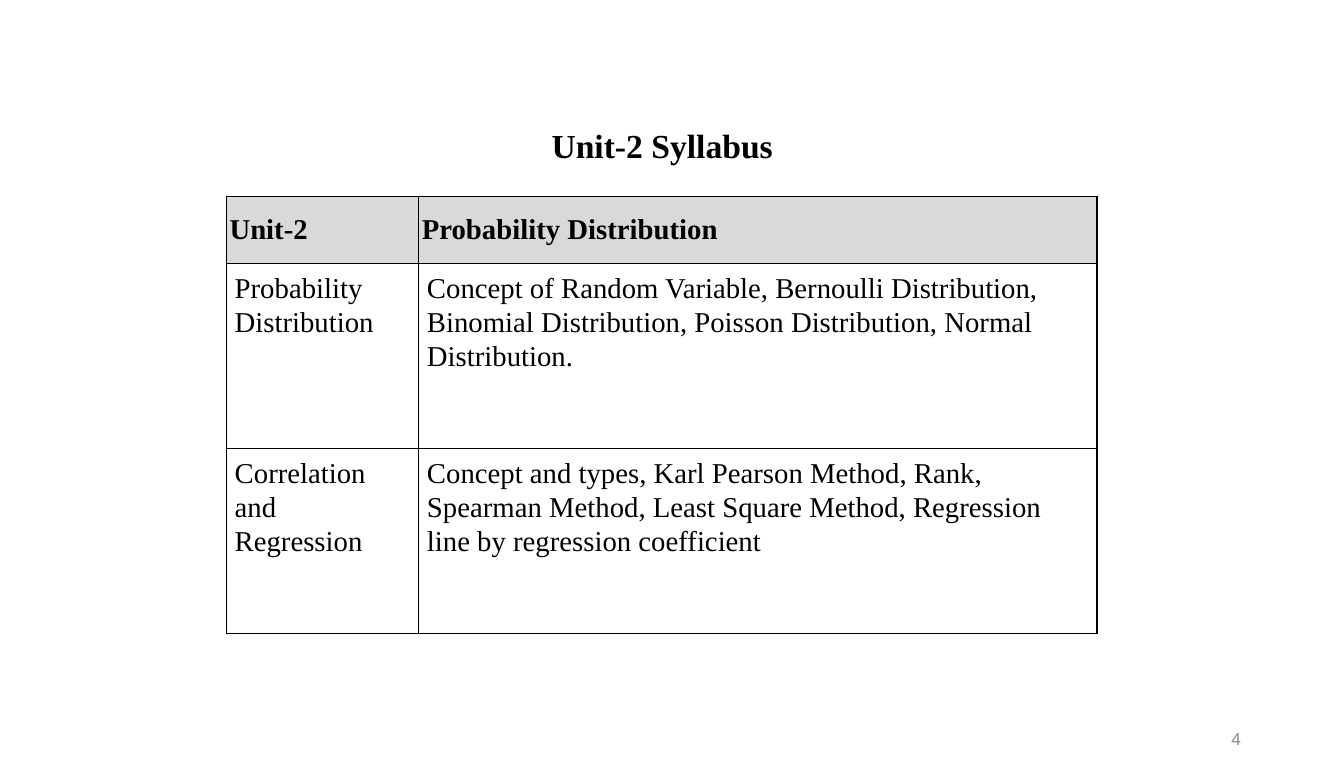
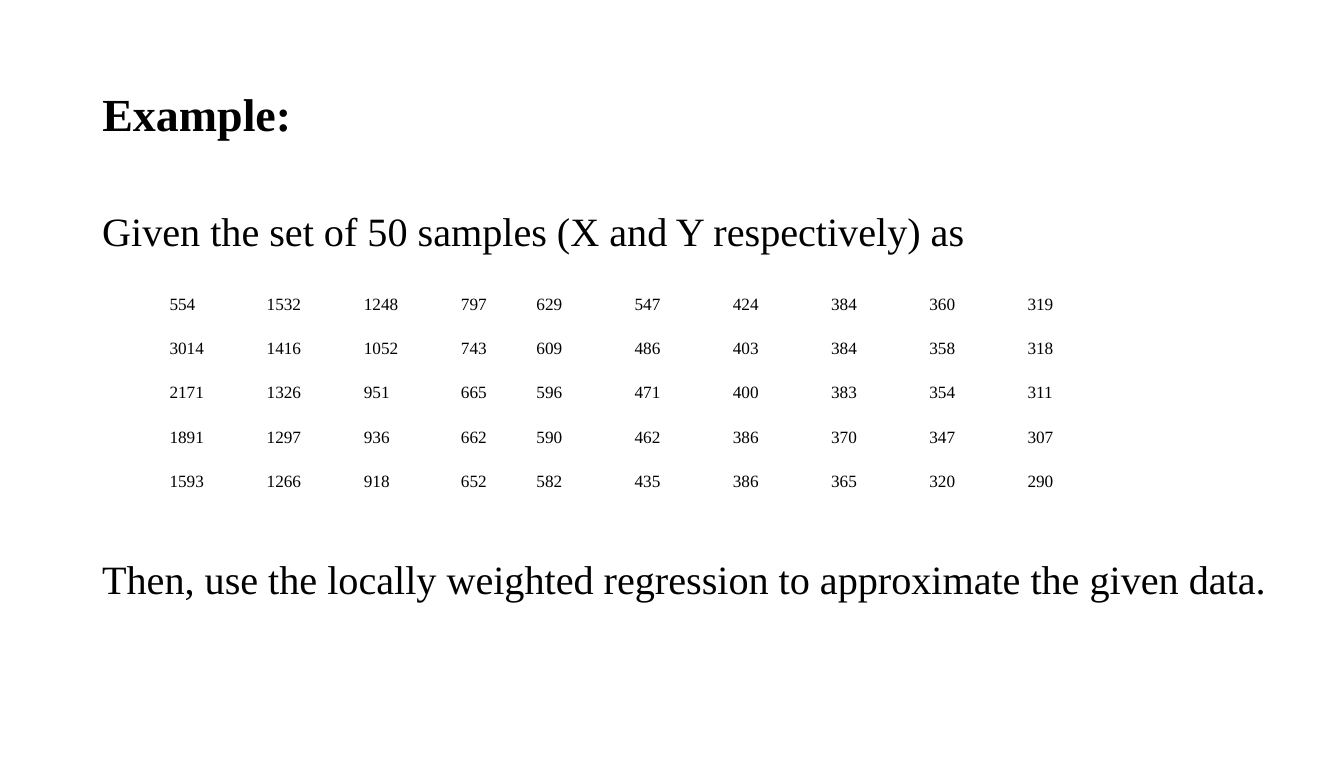
from dataclasses import dataclass

from lxml.etree import SubElement
from pptx import Presentation
from pptx.dml.color import RGBColor as RGB
from pptx.enum.text import MSO_ANCHOR as ANCHOR, MSO_AUTO_SIZE as AUTOSIZE, PP_ALIGN as ALIGN
from pptx.oxml.ns import qn
from pptx.util import Pt

PX = 9144
NO_STYLE = "{2D5ABB26-0587-4C30-8999-92F81FD0307C}"


@dataclass(frozen=True)
class Theme:
    """Colours, fonts and type sizes of the deck."""
    serif: str = "Times New Roman"
    sans: str = "Arial"
    ink: str = "000000"
    muted: str = "898989"
    header: str = "D9D9D9"
    syllabus_title: float = 23.4
    example_title: float = 32
    body: float = 28
    syllabus: float = 20
    small: float = 12


T = Theme()

SYLLABUS = [
    ("Unit-2", "Probability Distribution"),
    ("Probability Distribution",
     "Concept of Random Variable, Bernoulli Distribution, Binomial Distribution, "
     "Poisson Distribution, Normal Distribution."),
    ("Correlation and Regression",
     "Concept and types, Karl Pearson Method, Rank, Spearman Method, "
     "Least Square Method, Regression line by regression coefficient"),
]
SAMPLES = [
    (554, 1532, 1248, 797, 629, 547, 424, 384, 360, 319),
    (3014, 1416, 1052, 743, 609, 486, 403, 384, 358, 318),
    (2171, 1326, 951, 665, 596, 471, 400, 383, 354, 311),
    (1891, 1297, 936, 662, 590, 462, 386, 370, 347, 307),
    (1593, 1266, 918, 652, 582, 435, 386, 365, 320, 290),
]


def px(*lengths):
    """Turn px lengths into EMU."""
    return [n * PX for n in lengths]


def assign(obj, values):
    """Set each attribute named in a dict."""
    for name, value in values.items():
        setattr(obj, name, value)


def write(p, text, size, bold=False, font=T.serif, color=T.ink, **para):
    """Write one formatted run into a paragraph."""
    assign(p, para)
    r = p.add_run()
    r.text = text
    assign(r.font, {"name": font, "size": Pt(size), "bold": bold})
    r.font.color.rgb = RGB.from_string(color)


def add_title(s, box, text, size, align):
    """Place and format the title placeholder."""
    sp = s.shapes.title
    assign(sp, dict(zip(("left", "top", "width", "height"), px(*box))))
    tf = sp.text_frame
    assign(tf, {"auto_size": AUTOSIZE.NONE, "word_wrap": True,
                "vertical_anchor": ANCHOR.MIDDLE})
    write(tf.paragraphs[0], text, size, bold=True, alignment=align, line_spacing=0.9)


def add_text(s, box, anchor=ANCHOR.TOP):
    """Add a wrapping text box and return its frame."""
    tf = s.shapes.add_textbox(*px(*box)).text_frame
    assign(tf, {"word_wrap": True, "vertical_anchor": anchor})
    return tf


def add_grid(s, left, top, cols, rows):
    """Add an unstyled table with the given column and row sizes."""
    frame = s.shapes.add_table(len(rows), len(cols),
                               *px(left, top, sum(cols), sum(rows)))
    table = frame.table
    assign(table, {"first_row": False, "horz_banding": False})
    frame._element.find(".//" + qn("a:tableStyleId")).text = NO_STYLE
    for col, width in zip(table.columns, cols):
        col.width = width * PX
    for row, height in zip(table.rows, rows):
        row.height = height * PX
    return table


def fill_cell(cell, text, size, inset, anchor=ANCHOR.TOP, fill=None, bold=False, **para):
    """Fill one cell with text, insets given as (x, y), and background."""
    x, y = px(*inset)
    assign(cell, {"margin_left": x, "margin_right": x, "margin_top": y,
                  "margin_bottom": y, "vertical_anchor": anchor})
    if fill:
        cell.fill.solid()
        cell.fill.fore_color.rgb = RGB.from_string(fill)
    else:
        cell.fill.background()
    write(cell.text_frame.paragraphs[0], text, size, bold, **para)


def border_cell(cell):
    """Draw a thin line on all four sides of a cell."""
    tc_pr = cell._tc.get_or_add_tcPr()
    for i, side in enumerate(("lnL", "lnR", "lnT", "lnB")):
        ln = SubElement(tc_pr, qn("a:" + side), w=str(Pt(1)))
        SubElement(SubElement(ln, qn("a:solidFill")), qn("a:srgbClr"), val=T.ink)
        tc_pr.insert(i, ln)


def syllabus_table(s, left, top):
    """Draw the bordered syllabus table with its grey header."""
    table = add_grid(s, left, top, (186, 656), (65, 179, 179))
    head = {"inset": (3, 3), "anchor": ANCHOR.MIDDLE, "fill": T.header,
            "bold": True, "alignment": ALIGN.JUSTIFY}
    entry = {"inset": (8, 7), "line_spacing": 1.07, "space_after": Pt(8)}
    for i, row in enumerate(SYLLABUS):
        for j, text in enumerate(row):
            cell = table.cell(i, j)
            fill_cell(cell, text, T.syllabus, **(entry if i else head))
            border_cell(cell)


def samples_table(s, left, top):
    """Draw the borderless table of sample values."""
    cols = [94] * 3 + [73] + [95] * 6
    table = add_grid(s, left, top, cols, [43] * len(SAMPLES))
    for i, row in enumerate(SAMPLES):
        for j, value in enumerate(row):
            fill_cell(table.cell(i, j), str(value), T.small, inset=(7, 0),
                      alignment=ALIGN.JUSTIFY, line_spacing=1.07)


def page_number(s, box, number):
    """Write the page number in the footer."""
    tf = add_text(s, box, ANCHOR.MIDDLE)
    write(tf.paragraphs[0], str(number), T.small, font=T.sans, color=T.muted,
          alignment=ALIGN.RIGHT)


def problem_text(s, box):
    """Write the task above and below the space for the samples."""
    tf = add_text(s, box)
    write(tf.paragraphs[0], "Given the set of 50 samples (X and Y respectively) as",
          T.body, line_spacing=0.9, space_before=Pt(10))
    write(tf.add_paragraph(),
          "Then, use the locally weighted regression to approximate the given data.",
          T.body, line_spacing=0.9, space_before=Pt(212))


def syllabus_slide(s):
    """Build the syllabus slide."""
    add_title(s, (220, 108, 841, 69), "Unit-2 Syllabus", T.syllabus_title, ALIGN.CENTER)
    page_number(s, (918, 695, 292, 40), 4)
    syllabus_table(s, 219, 190)


def example_slide(s):
    """Build the worked example slide."""
    add_title(s, (89, 40, 1121, 145), "Example:", T.example_title, ALIGN.LEFT)
    problem_text(s, (89, 200, 1164, 476))
    samples_table(s, 157, 284)


def main():
    """Build and save the deck."""
    prs = Presentation()
    assign(prs, dict(zip(("slide_width", "slide_height"), px(1300, 750))))
    for build in (syllabus_slide, example_slide):
        build(prs.slides.add_slide(prs.slide_layouts[5]))
    prs.save("out.pptx")


if __name__ == "__main__":
    main()
